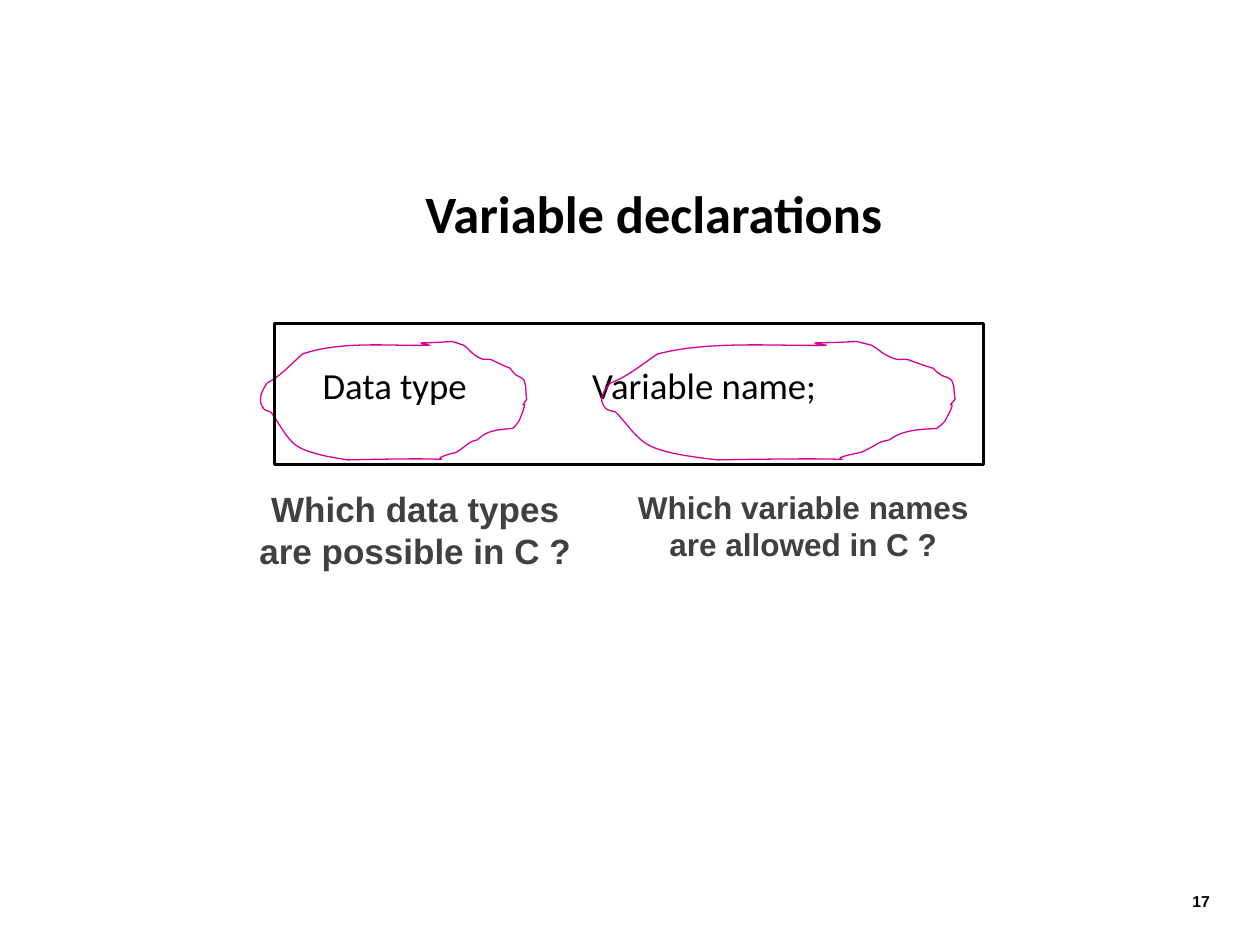
"""Build the slide on variable declarations in C."""
from lxml import etree
from pptx import Presentation
from pptx import util as u
from pptx.dml.color import RGBColor
from pptx.enum import shapes, text
from pptx.oxml.ns import qn

PX = 9144
LOOP_LEFT, LOOP_WIDTH = 204, 217
LOOP_POINTS = [
    (341, 274),
    (314, 275), (271, 270), (240, 281), (231, 289), (222, 299), (212, 304),
    (208, 310), (204, 317), (209, 324), (210, 326), (213, 326), (215, 327),
    (221, 335), (225, 344), (232, 351), (241, 360), (264, 363), (276, 365),
    (400, 362), (322, 369), (362, 359), (376, 350), (369, 352), (379, 349),
    (387, 341), (396, 341), (407, 340), (409, 338), (411, 336), (412, 334),
    (422, 310), (410, 329), (418, 317), (417, 312), (418, 307), (416, 302),
    (415, 300), (412, 299), (410, 298), (399, 288), (414, 297), (393, 287),
    (384, 282), (388, 289), (377, 282), (374, 280), (371, 276), (368, 274),
    (365, 273), (359, 271), (359, 271), (333, 273), (328, 271), (341, 274),
]


def color(value):
    return RGBColor.from_string(value)


class Board:
    """Hold the style and the current slide."""
    ink = "000000"
    question = "404040"
    marker = "D60093"

    def __init__(self, presentation):
        self.slide = presentation.slides.add_slide(presentation.slide_layouts[6])

    def text(self, box, lines, size, font="Arial", fill=ink, bold=True,
             align=text.PP_ALIGN.CENTER, anchor=text.MSO_ANCHOR.TOP,
             wrap=True, inset=(10, 5), spacing=1.0, tab=None):
        shape = self.slide.shapes.add_textbox(*(v * PX for v in box))
        frame = shape.text_frame
        frame.word_wrap = wrap
        frame.auto_size = text.MSO_AUTO_SIZE.NONE if wrap else text.MSO_AUTO_SIZE.SHAPE_TO_FIT_TEXT
        frame.vertical_anchor = anchor
        frame.margin_left = frame.margin_right = inset[0] * PX
        frame.margin_top = frame.margin_bottom = inset[1] * PX
        for index, line in enumerate(lines):
            paragraph = frame.add_paragraph() if index else frame.paragraphs[0]
            paragraph.alignment = align
            paragraph.line_spacing = spacing
            if tab:
                stops = etree.SubElement(paragraph._p.get_or_add_pPr(), qn("a:tabLst"))
                etree.SubElement(stops, qn("a:tab"), pos=str(tab * PX), algn="l")
            run = paragraph.add_run()
            run.text = line
            run.font.name = font
            run.font.size = u.Pt(size)
            run.font.bold = bold
            run.font.color.rgb = color(fill)

    def outline(self, shape, line, width):
        shape.shadow.inherit = False
        shape.fill.background()
        shape.line.color.rgb = color(line)
        shape.line.width = u.Pt(width)

    def frame(self, box):
        shape = self.slide.shapes.add_shape(shapes.MSO_SHAPE.RECTANGLE, *(v * PX for v in box))
        self.outline(shape, self.ink, 1.75)

    def loop(self, left, width):
        stretch = width / LOOP_WIDTH
        points = [(round((left + (x - LOOP_LEFT) * stretch) * PX), y * PX)
                  for x, y in LOOP_POINTS]
        builder = self.slide.shapes.build_freeform(*points[0])
        builder.add_line_segments(points[1:], close=True)
        shape = builder.convert_to_shape()
        segments = list(shape._element.iter(qn("a:lnTo")))
        for start in range(0, len(LOOP_POINTS) - 1, 3):
            first, *others = segments[start:start + 3]
            curve = etree.Element(qn("a:cubicBezTo"))
            first.addprevious(curve)
            for segment in (first, *others):
                curve.append(segment[0])
                segment.getparent().remove(segment)
        self.outline(shape, self.marker, 0.75)


def main():
    presentation = Presentation()
    presentation.slide_width = 1000 * PX
    presentation.slide_height = 750 * PX
    board = Board(presentation)
    middle = text.MSO_ANCHOR.MIDDLE
    board.text((225, 144, 588, 56), ["Variable declarations"], 30, "Calibri",
               anchor=middle, spacing=0.9)
    board.text((249, 288, 556, 94), ["Data type\tVariable name;"], 21, "Calibri", bold=False,
               align=text.PP_ALIGN.LEFT, inset=(7, 4), spacing=0.9, tab=214)
    board.text((931, 695, 39, 40), ["17"], 9, align=text.PP_ALIGN.RIGHT, anchor=middle)
    board.loop(204, 217)
    board.text((195, 382, 277, 77), ["Which data types ", "are possible in C ? "], 20,
               fill=board.question, wrap=False)
    board.text((495, 382, 292, 71), ["Which variable names ", "are allowed in C ? "], 18,
               fill=board.question, wrap=False)
    board.loop(474, 288)
    board.frame((218, 257, 563, 112))
    presentation.save("out.pptx")


if __name__ == "__main__":
    main()
